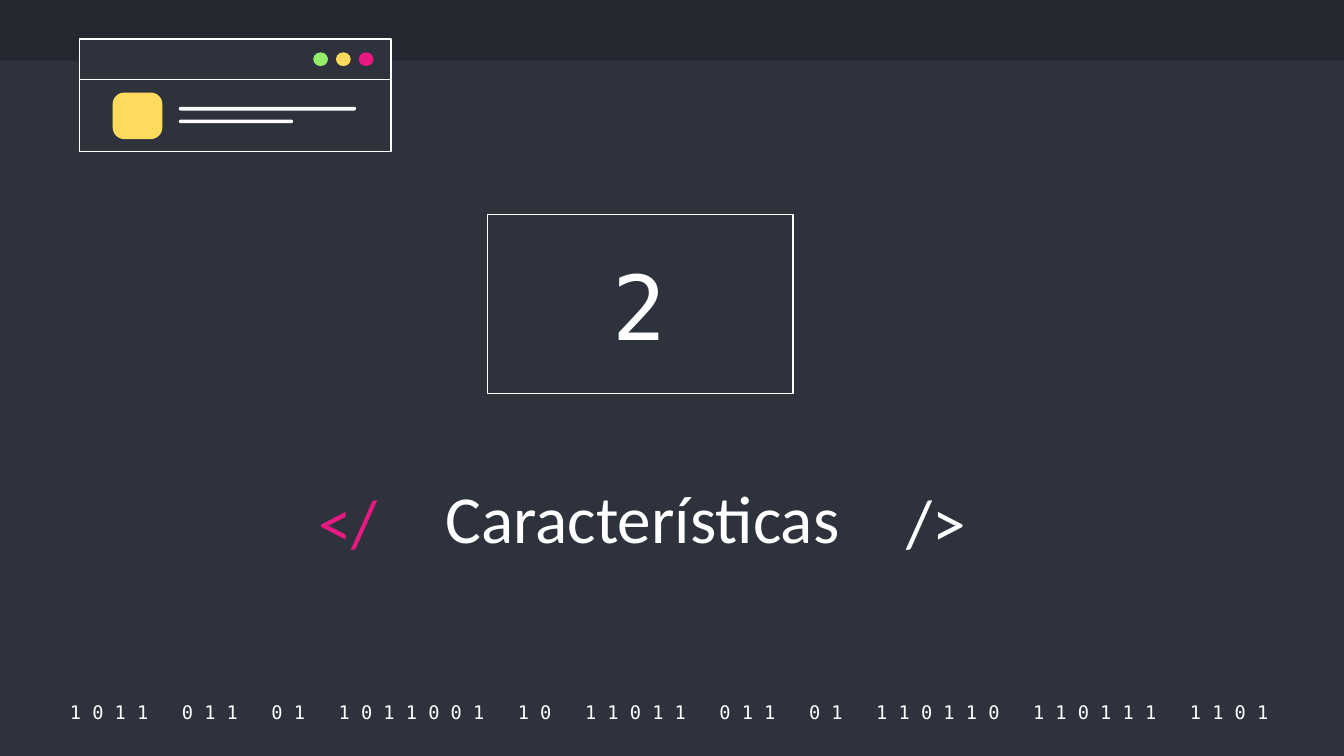
from pptx import Presentation
from pptx.dml.color import RGBColor
from pptx.enum.shapes import MSO_SHAPE as Shape
from pptx.enum.text import MSO_ANCHOR as Anchor, PP_ALIGN as Align
from pptx.util import Cm, Pt

NAVY = RGBColor(0x2D, 0x32, 0x3C)
DARK = RGBColor(0x24, 0x28, 0x30)
WHITE = RGBColor(0xFF, 0xFF, 0xFF)
PINK = RGBColor(0xE8, 0x19, 0x81)
YELLOW = RGBColor(0xFF, 0xDB, 0x5D)
GREEN = RGBColor(0x94, 0xEE, 0x6B)


class SlideBuilder:
    SANS = "Calibri"
    MONO = "DejaVu Sans Mono"
    INSET = Cm(0.25)
    BORDER = Pt(0.75)

    def __init__(self, s):
        self.s = s
        s.background.fill.solid()
        s.background.fill.fore_color.rgb = NAVY

    def shape(self, kind, x, y, w, h, fill, border=None, parent=None, radius=None):
        shapes = (parent or self.s).shapes
        sp = shapes.add_shape(kind, Cm(x), Cm(y), Cm(w), Cm(h))
        sp.shadow.inherit = False
        sp.fill.solid()
        sp.fill.fore_color.rgb = fill
        if border is None:
            sp.line.fill.background()
        else:
            sp.line.color.rgb = border
            sp.line.width = self.BORDER
        if radius is not None:
            sp.adjustments[0] = radius
        return sp

    def text(self, x, y, w, h, text, size, font=SANS, color=WHITE,
             align=Align.CENTER, anchor=Anchor.MIDDLE, spacing=None):
        tf = self.s.shapes.add_textbox(Cm(x), Cm(y), Cm(w), Cm(h)).text_frame
        tf.word_wrap = True
        tf.vertical_anchor = anchor
        tf.margin_left = tf.margin_right = self.INSET
        tf.margin_top = tf.margin_bottom = self.INSET
        p = tf.paragraphs[0]
        p.text = text
        p.alignment = align
        p.line_spacing = spacing
        p.font.name = font
        p.font.size = Pt(size)
        p.font.color.rgb = color

    def browser_window(self):
        group = self.s.shapes.add_group_shape()
        # Body and title bar
        for y, h in ((1.5, 1.37), (0.74, 0.76)):
            self.shape(Shape.RECTANGLE, 1.5, y, 5.89, h, NAVY, WHITE, group)
        # Icon and text lines
        self.shape(Shape.ROUNDED_RECTANGLE, 2.13, 1.75, 0.94, 0.88, YELLOW,
                   parent=group, radius=0.25)
        for y, w in ((2.02, 3.35), (2.26, 2.16)):
            self.shape(Shape.ROUNDED_RECTANGLE, 3.38, y, w, 0.07, WHITE,
                       parent=group, radius=0.5)
        # Window buttons
        for i, color in enumerate((GREEN, YELLOW, PINK)):
            self.shape(Shape.OVAL, 5.92 + 0.43 * i, 0.99, 0.28, 0.26, color,
                       parent=group)


def main():
    prs = Presentation()
    prs.slide_width, prs.slide_height = Cm(25.4), Cm(14.29)
    b = SlideBuilder(prs.slides.add_slide(prs.slide_layouts[6]))

    # Top band and binary footer
    b.shape(Shape.RECTANGLE, 0, 0, 25.4, 1.15, DARK)
    groups = "1011 011 01 1011001 10 11011 011 01 110110 110111 1101".split()
    binary = "   ".join(" ".join(group) for group in groups) + " "
    b.text(0.97, 13.21, 23.55, 0.51, binary, 10, b.MONO)

    # Section number
    b.shape(Shape.RECTANGLE, 9.22, 4.06, 5.77, 3.38, NAVY, WHITE)
    b.text(9.98, 4.5, 4.22, 1.83, "2", 48, b.MONO, anchor=Anchor.TOP)

    # Title between tag marks
    for x, mark, color in ((5.77, "</", PINK), (16.89, "/>", WHITE)):
        b.text(x, 9.09, 1.96, 1.68, mark, 36, color=color,
               align=Align.LEFT, spacing=0.9)
    b.text(7.42, 8.56, 9.45, 2.24, "Características", 36,
           anchor=Anchor.BOTTOM, spacing=0.9)

    b.browser_window()
    prs.save("out.pptx")


if __name__ == "__main__":
    main()
